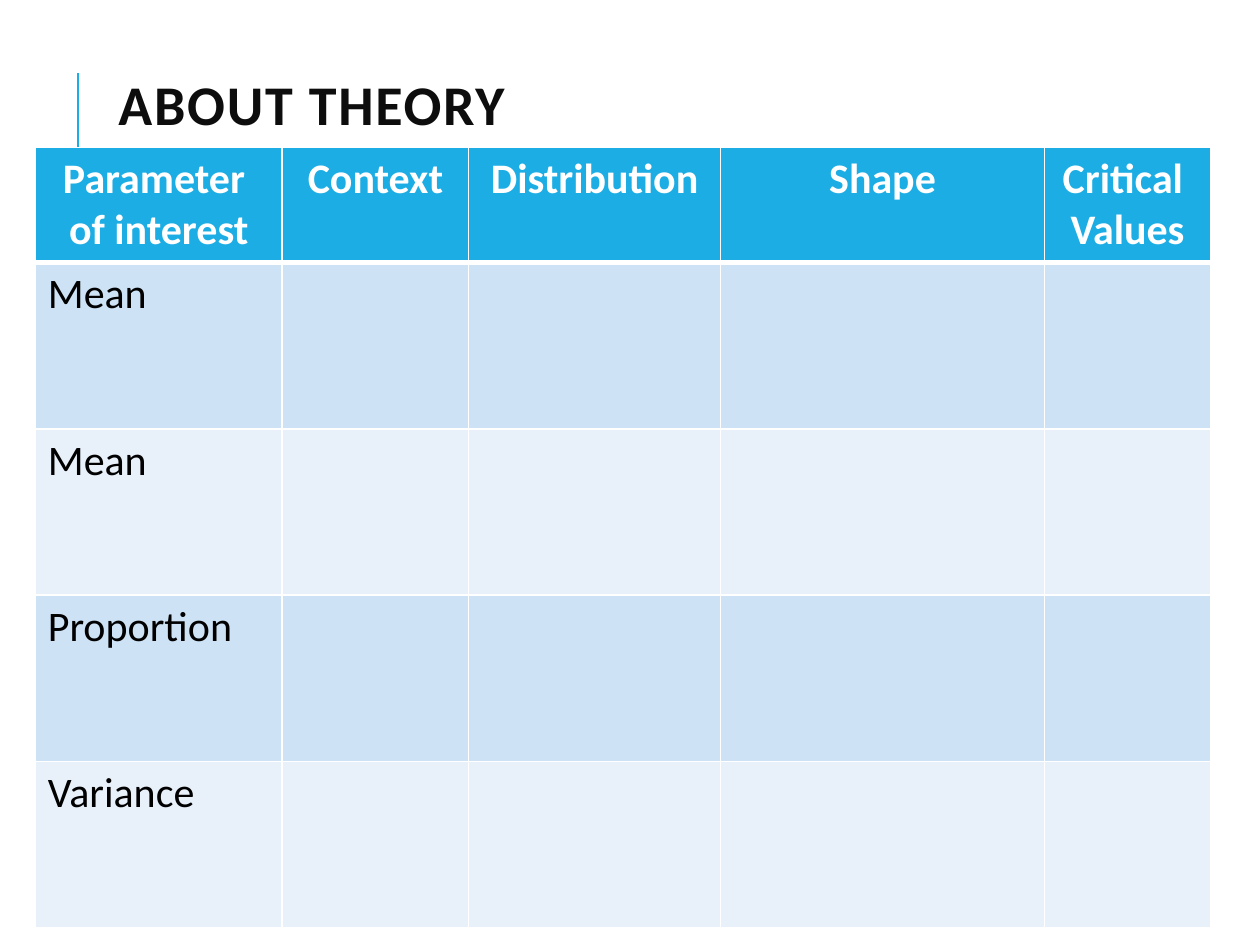
"""Builds a slide with a table of parameters and their sampling theory."""
from lxml.etree import SubElement
from pptx import Presentation
from pptx.dml.color import RGBColor
from pptx.enum.shapes import MSO_CONNECTOR
from pptx.enum.text import MSO_ANCHOR, MSO_AUTO_SIZE, PP_ALIGN
from pptx.oxml.ns import qn
from pptx.util import Inches, Pt

BLUE = RGBColor(0x1C, 0xAD, 0xE4)
DARK_BAND = RGBColor(0xCD, 0xE3, 0xF5)
LIGHT_BAND = RGBColor(0xE8, 0xF1, 0xFA)
WHITE = RGBColor(0xFF, 0xFF, 0xFF)
BLACK = RGBColor(0, 0, 0)
TITLE_COLOR = RGBColor(0x0D, 0x0D, 0x0D)

HEADERS = ["Parameter \nof interest", "Context", "Distribution", "Shape", "Critical \nValues"]
PARAMETERS = ["Mean", "Mean", "Proportion", "Variance"]
COLUMN_WIDTHS = [1.96, 1.48, 2, 2.57, 1.32]
HEADER_HEIGHT = 0.91
ROW_HEIGHT = 1.32


def write_text(frame, text, size=24, color=BLACK, bold=False,
               align=PP_ALIGN.LEFT, line_spacing=None, letter_spacing=None):
    frame.text = text
    for paragraph in frame.paragraphs:
        paragraph.alignment = align
        paragraph.line_spacing = line_spacing
        for run in paragraph.runs:
            run.font.name = SlideBuilder.font_name
            run.font.size = Pt(size)
            run.font.bold = bold
            run.font.color.rgb = color
            if letter_spacing:
                run.font._element.set("spc", str(letter_spacing * 100))


class SlideBuilder:
    font_name = "Calibri"

    def __init__(self, presentation):
        self.slide = presentation.slides.add_slide(presentation.slide_layouts[5])

    def title(self, text, left, top, width, height):
        title = self.slide.shapes.title
        title.left, title.top = Inches(left), Inches(top)
        title.width, title.height = Inches(width), Inches(height)
        frame = title.text_frame
        frame.auto_size = MSO_AUTO_SIZE.NONE
        frame.vertical_anchor = MSO_ANCHOR.MIDDLE
        write_text(frame, text, size=32, color=TITLE_COLOR, bold=True,
                   line_spacing=0.8, letter_spacing=1)

    def line(self, start_x, start_y, end_x, end_y):
        connector = self.slide.shapes.add_connector(
            MSO_CONNECTOR.STRAIGHT, Inches(start_x), Inches(start_y),
            Inches(end_x), Inches(end_y))
        connector.line.color.rgb = BLUE
        connector.line.width = Pt(1.5)
        SubElement(connector._element.spPr, qn("a:effectLst"))

    def cell(self, cell, fill, bottom_width=1, top_width=1):
        properties = cell._tc.get_or_add_tcPr()
        widths = {"a:lnL": 1, "a:lnR": 1, "a:lnT": top_width, "a:lnB": bottom_width}
        for tag, width in widths.items():
            border = SubElement(properties, qn(tag), w=str(Pt(width)))
            solid = SubElement(border, qn("a:solidFill"))
            SubElement(solid, qn("a:srgbClr"), val=str(WHITE))
        cell.fill.solid()
        cell.fill.fore_color.rgb = fill

    def table(self, left, top):
        heights = [HEADER_HEIGHT] + [ROW_HEIGHT] * len(PARAMETERS)
        table = self.slide.shapes.add_table(
            len(heights), len(HEADERS), Inches(left), Inches(top),
            Inches(sum(COLUMN_WIDTHS)), Inches(sum(heights))).table
        for column, width in zip(table.columns, COLUMN_WIDTHS):
            column.width = Inches(width)
        for row, height in zip(table.rows, heights):
            row.height = Inches(height)
        for column_index, header in enumerate(HEADERS):
            cell = table.cell(0, column_index)
            write_text(cell.text_frame, header, color=WHITE, bold=True,
                       align=PP_ALIGN.CENTER)
            self.cell(cell, BLUE, bottom_width=3)
        for row_index, parameter in enumerate(PARAMETERS, start=1):
            write_text(table.cell(row_index, 0).text_frame, parameter)
            fill = DARK_BAND if row_index % 2 else LIGHT_BAND
            for cell in table.rows[row_index].cells:
                self.cell(cell, fill, top_width=3 if row_index == 1 else 1)


def main():
    presentation = Presentation()
    presentation.slide_width = Inches(10)
    presentation.slide_height = Inches(7.5)
    builder = SlideBuilder(presentation)
    builder.line(0.62, 1.18, 0.62, 0.58)
    builder.title("ABOUT THEORY", 0.84, 0.58, 8.66, 0.58)
    builder.table(0.28, 1.17)
    presentation.save("out.pptx")


if __name__ == "__main__":
    main()
